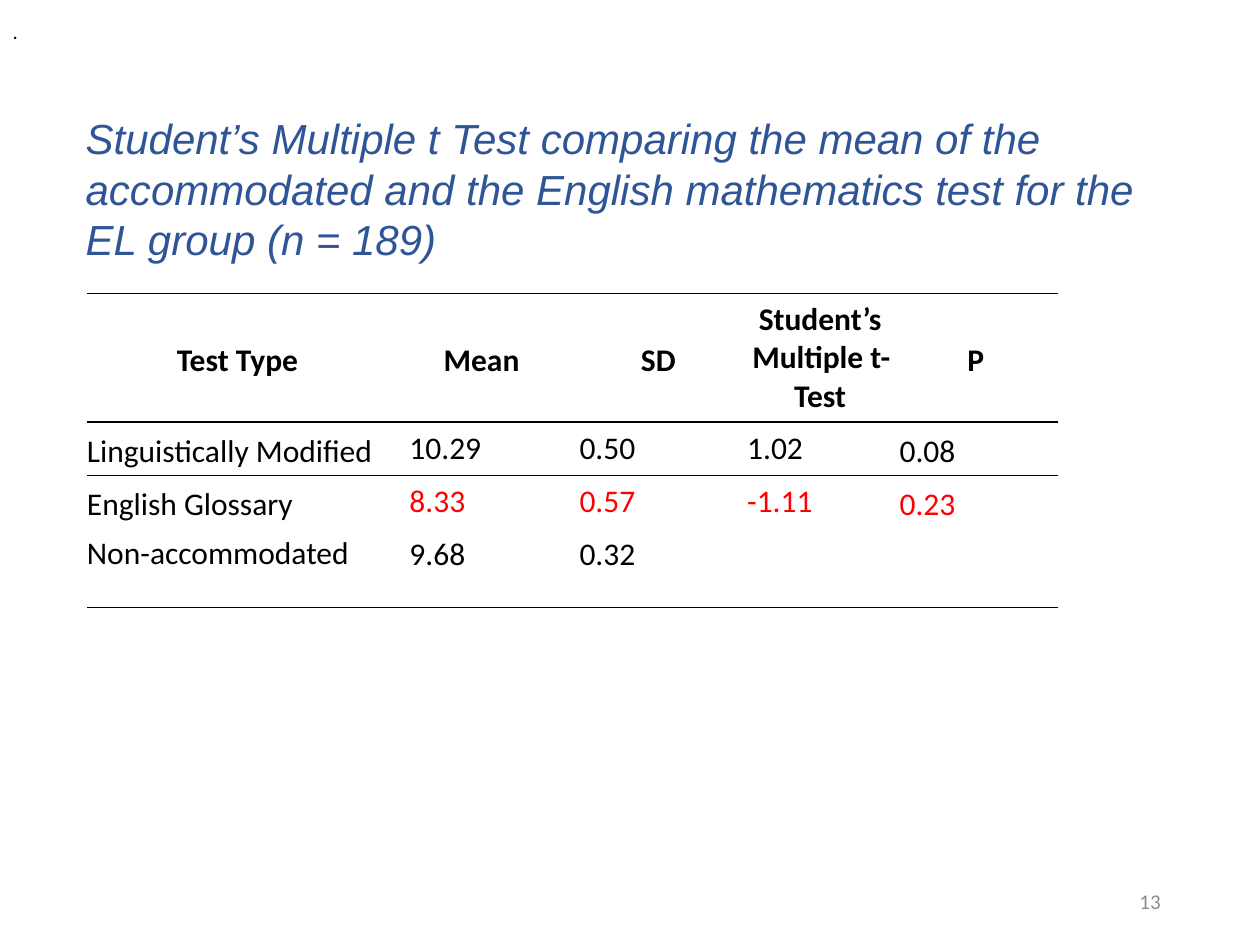
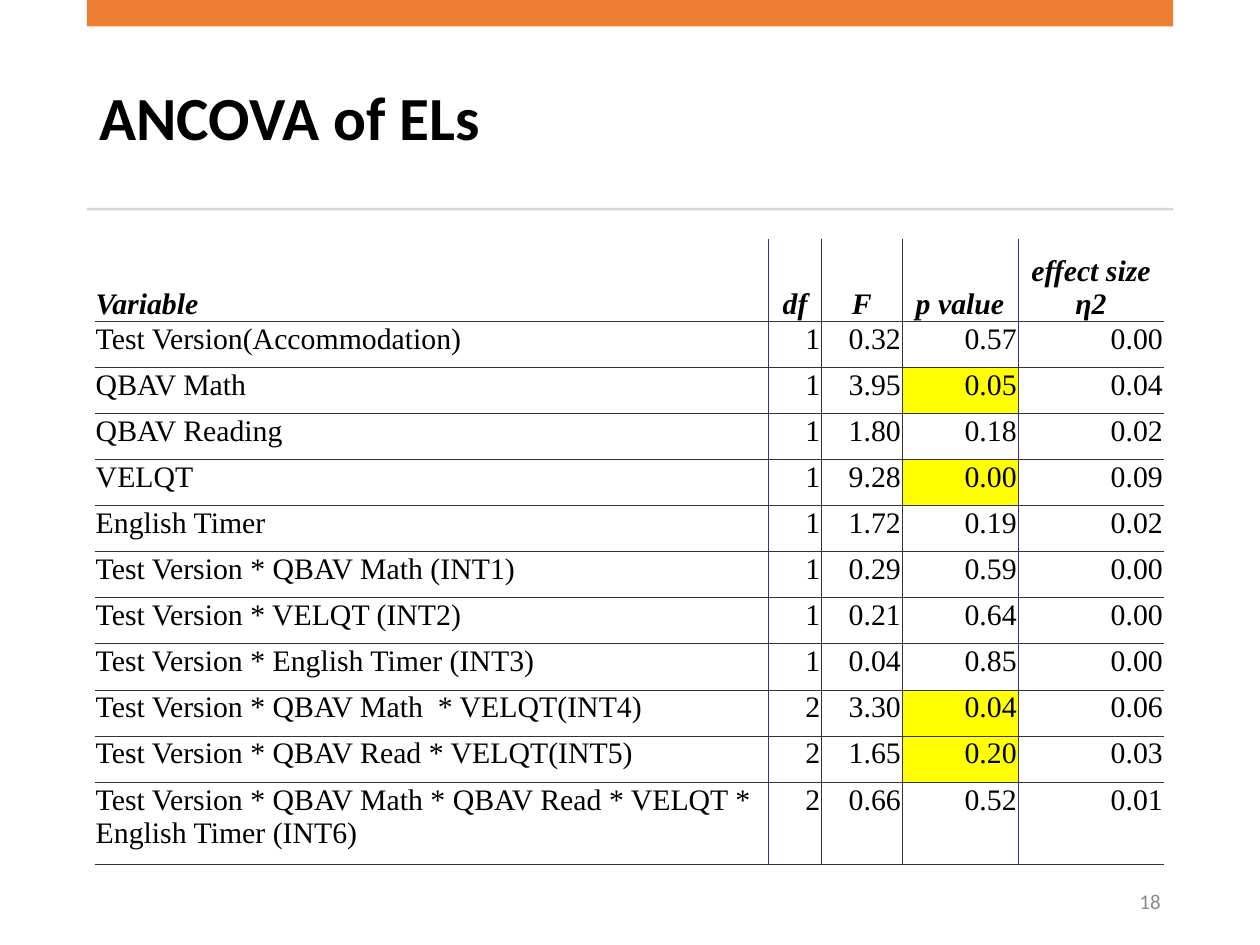
import dataclasses

import lxml.etree
import pptx
import pptx.dml.color
import pptx.enum.shapes
import pptx.enum.text
import pptx.oxml.ns
import pptx.util

Inches = pptx.util.Inches
ALIGN = pptx.enum.text.PP_ALIGN
ANCHOR = pptx.enum.text.MSO_ANCHOR
NO_TABLE_STYLE = "{2D5ABB26-0587-4C30-8999-92F81FD0307C}"


@dataclasses.dataclass(frozen=True)
class Theme:
    black: str = "000000"
    title_blue: str = "2F5597"
    red: str = "FF0000"
    orange: str = "ED7D31"
    rule_grey: str = "D5D5D5"
    number_grey: str = "8C8C8C"
    grid_grey: str = "333333"
    grid_blue: str = "333399"
    highlight: str = "FFFF00"
    sans: str = "Calibri"
    heading: str = "Arial"
    serif: str = "Times New Roman"
    small: int = 12
    serif_body: int = 17
    body: int = 18
    long_title: int = 24
    short_title: int = 35


theme = Theme()


def write(frame, text, font, size, color=theme.black, bold=False, italic=False,
          align=ALIGN.LEFT, anchor=ANCHOR.MIDDLE):
    frame.word_wrap = True
    frame.vertical_anchor = anchor
    para = frame.paragraphs[0]
    para.alignment = align
    span = para.add_run()
    span.text = text
    span.font.name = font
    span.font.size = pptx.util.Pt(size)
    span.font.bold = bold
    span.font.italic = italic
    span.font.color.rgb = pptx.dml.color.RGBColor.from_string(color)
    return para


def draw_edges(cell, **edges):
    """Draw borders given as side=(colour, points); sides not given stay bare."""
    properties = cell._tc.get_or_add_tcPr()
    for place, side in enumerate("LRTB"):
        color, points = edges.get(side, (None, 0))
        line = lxml.etree.Element(pptx.oxml.ns.qn(f"a:ln{side}"), w=str(pptx.util.Pt(points)))
        if color:
            fill = lxml.etree.SubElement(line, pptx.oxml.ns.qn("a:solidFill"))
            lxml.etree.SubElement(fill, pptx.oxml.ns.qn("a:srgbClr"), val=color)
        else:
            lxml.etree.SubElement(line, pptx.oxml.ns.qn("a:noFill"))
        properties.insert(place, line)


t_test_rows = [
    ["Test Type", "Mean ", "", "SD", "Student’s Multiple t-Test", "P"],
    ["Linguistically Modified", "10.29", "0.50", "", "1.02", "0.08"],
    ["English Glossary", "8.33", "0.57", "", "-1.11", "0.23"],
    ["Non-accommodated", "9.68", "0.32", "", "", ""],
]
ancova_rows = [
    ["Variable", "df", "F", "p value", "effect size η2"],
    ["Test Version(Accommodation)", "1", "0.32", "0.57", "0.00"],
    ["QBAV Math", "1", "3.95", "0.05", "0.04"],
    ["QBAV Reading", "1", "1.80", "0.18", "0.02"],
    ["VELQT", "1", "9.28", "0.00", "0.09"],
    ["English Timer", "1", "1.72", "0.19", "0.02"],
    ["Test Version * QBAV Math (INT1)", "1", "0.29", "0.59", "0.00"],
    ["Test Version * VELQT (INT2)", "1", "0.21", "0.64", "0.00"],
    ["Test Version * English Timer (INT3)", "1", "0.04", "0.85", "0.00"],
    ["Test Version * QBAV Math  * VELQT(INT4)", "2", "3.30", "0.04", "0.06"],
    ["Test Version * QBAV Read * VELQT(INT5)", "2", "1.65", "0.20", "0.03"],
    ["Test Version * QBAV Math * QBAV Read * VELQT * English Timer (INT6)",
     "2", "0.66", "0.52", "0.01"],
]
ancova_tall_row = 0.65
ancova_row = (4.96 - 2 * ancova_tall_row) / 10
# title, title box, page number, table corner, column widths, row heights, rows
outlines = [
    ("Student’s Multiple t Test comparing the mean of the accommodated and the "
     "English mathematics test for the EL group (n = 189)",
     (0.58, 0.77, 8.62, 1.45), "13", (0.69, 2.33),
     [2.44, 1.35, 0.14, 1.26, 1.26, 1.26], [1.02, 0.42, 0.42, 0.63], t_test_rows),
    ("ANCOVA of ELs", (0.69, 0.37, 8.62, 1.18), "18", (0.75, 1.9),
     [5.35, 0.42, 0.64, 0.92, 1.16],
     [ancova_tall_row] + [ancova_row] * 10 + [ancova_tall_row], ancova_rows),
]
title_styles = [
    dict(font=theme.heading, size=theme.long_title, color=theme.title_blue, italic=True),
    dict(font=theme.sans, size=theme.short_title, bold=True),
]
title_spacings = [1.0, 0.9]

deck = pptx.Presentation()
deck.slide_width = Inches(10)
deck.slide_height = Inches(7.5)

# Title, page number and bare table on each slide
pages, tables = [], []
for outline, style, spacing in zip(outlines, title_styles, title_spacings):
    title, title_box, number, corner, widths, heights, rows = outline
    page = deck.slides.add_slide(deck.slide_layouts[5])
    heading = page.shapes.title
    heading.left, heading.top, heading.width, heading.height = map(Inches, title_box)
    heading.text_frame.auto_size = pptx.enum.text.MSO_AUTO_SIZE.NONE
    write(heading.text_frame, title, **style).line_spacing = spacing

    box = page.shapes.add_textbox(Inches(7.06), Inches(6.95), Inches(2.25), Inches(0.4))
    write(box.text_frame, number, theme.sans, theme.small, theme.number_grey,
          align=ALIGN.RIGHT)

    graphic = page.shapes.add_table(len(rows), len(widths), *map(Inches, corner),
                                    Inches(sum(widths)), Inches(sum(heights)))
    table = graphic.table
    table.first_row = table.horz_banding = False
    table._tbl.tblPr.find(pptx.oxml.ns.qn("a:tableStyleId")).text = NO_TABLE_STYLE
    for column, width in zip(table.columns, widths):
        column.width = Inches(width)
    for row, height in zip(table.rows, heights):
        row.height = Inches(height)
    for cell in table.iter_cells():
        cell.fill.background()
    pages.append(page)
    tables.append(table)

# t test: horizontal rules only, glossary figures in red
t_test = tables[0]
thick, thin = (theme.black, 1), (theme.black, 0.5)
rules_above = [thick, thick, thin, None]
rules_below = [thick, thin, None, thin]
for i, values in enumerate(t_test_rows):
    first = 1 if i == 0 else 2
    t_test.cell(i, first).merge(t_test.cell(i, first + 1))
    for j, value in enumerate(values):
        cell = t_test.cell(i, j)
        is_figure = i > 0 and j in (1, 2, 3)
        if is_figure:
            margins = (0.12, 0.06, 0.12, 0.06)
        elif j == 4:
            margins = (0.05, 0, 0.05, 0)
        else:
            margins = (0, 0.05, 0.05, 0)
        (cell.margin_left, cell.margin_top,
         cell.margin_right, cell.margin_bottom) = map(Inches, margins)
        at_top = is_figure or i == 3
        cell.vertical_anchor = ANCHOR.TOP if at_top else ANCHOR.MIDDLE
        if value:
            write(cell.text_frame, value, theme.sans, theme.body,
                  theme.red if i == 2 and j > 0 else theme.black, bold=i == 0,
                  align=ALIGN.CENTER if i == 0 else ALIGN.LEFT,
                  anchor=ANCHOR.TOP)
        rules = {"T": rules_above[i], "B": rules_below[i]}
        draw_edges(cell, **{side: rule for side, rule in rules.items() if rule})

dot = pages[0].shapes.add_textbox(0, Inches(0.1), Inches(0.3), Inches(0.3))
write(dot.text_frame, ".", theme.heading, theme.small)
dot.text_frame.word_wrap = False

# ANCOVA: inner grid, highlighted p values
ancova = tables[1]
highlighted_rows = (2, 4, 9, 10)
dividers = [(color, 0.5) for color in
            (theme.grid_blue, theme.grid_grey, theme.grid_grey, theme.grid_blue)]
for i, values in enumerate(ancova_rows):
    is_header = i == 0
    for j, value in enumerate(values):
        cell = ancova.cell(i, j)
        cell.margin_left = cell.margin_top = cell.margin_right = Inches(0.01)
        cell.margin_bottom = 0
        cell.vertical_anchor = ANCHOR.BOTTOM if is_header else ANCHOR.TOP
        if j == 0:
            align = ALIGN.LEFT
        else:
            align = ALIGN.CENTER if is_header else ALIGN.RIGHT
        write(cell.text_frame, value, theme.serif, theme.serif_body,
              bold=is_header, italic=is_header, align=align, anchor=ANCHOR.TOP)
        if j == 3 and i in highlighted_rows:
            cell.fill.solid()
            cell.fill.fore_color.rgb = pptx.dml.color.RGBColor.from_string(theme.highlight)
        edges = {"B": (theme.grid_grey, 0.5)}
        if i > 0:
            edges["T"] = (theme.grid_grey, 0.5)
        if j > 0:
            edges["L"] = dividers[j - 1]
        if j < len(dividers):
            edges["R"] = dividers[j]
        draw_edges(cell, **edges)

for top, height, color in [(0, 0.21, theme.orange), (1.65, 0.02, theme.rule_grey)]:
    band = pages[1].shapes.add_shape(pptx.enum.shapes.MSO_SHAPE.RECTANGLE, Inches(0.69),
                                     Inches(top), Inches(8.62), Inches(height))
    band.shadow.inherit = False
    band.fill.solid()
    band.fill.fore_color.rgb = pptx.dml.color.RGBColor.from_string(color)
    band.line.fill.background()

deck.save("out.pptx")
